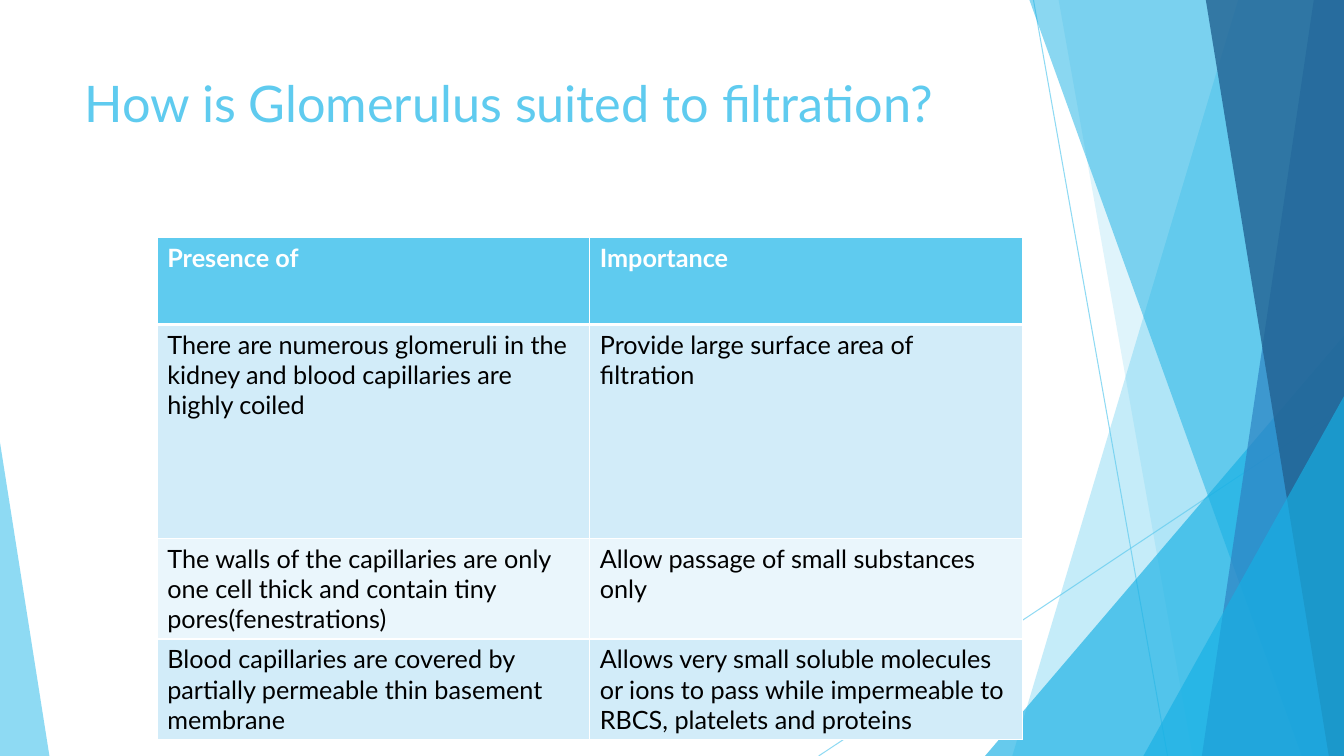
from dataclasses import dataclass

from lxml.etree import SubElement
from pptx import Presentation
from pptx.dml.color import RGBColor
from pptx.enum.shapes import MSO_CONNECTOR, MSO_SHAPE
from pptx.enum.text import MSO_ANCHOR, MSO_AUTO_SIZE, PP_ALIGN
from pptx.oxml.ns import qn
from pptx.util import Inches, Pt

WIDTH, HEIGHT = 13.33, 7.5
FONT = "Lato"
COLORS = {
    "sky": "5FCBEF",
    "cyan": "17B0E4",
    "blue": "2E83C3",
    "navy": "226292",
    "band_dark": "D2ECF9",
    "band_light": "EAF6FC",
    "white": "FFFFFF",
    "black": "000000",
}


@dataclass
class Ray:
    start: tuple[float, float]
    end: tuple[float, float]


@dataclass
class Panel:
    """Runs from a slanted left side to the right edge of the slide."""
    top_x: float
    bottom_x: float
    color: str
    opacity: int


@dataclass
class Corner:
    """Triangle standing on the bottom edge, its apex at the left (0) or right (1)."""
    left: float
    top: float
    width: float
    apex: int
    color: str
    opacity: int


DECORATIONS = [
    Ray((10.25, 0), (11.58, HEIGHT)),
    Ray((WIDTH, 4.03), (8.12, HEIGHT)),
    Panel(12.28, 10.04, "sky", 36),
    Panel(10.5, 11.83, "sky", 20),
    Corner(9.77, 3.33, 3.56, 1, "cyan", 66),
    Panel(10.21, 12.91, "cyan", 50),
    Panel(13.03, 11.92, "blue", 70),
    Panel(11.96, 13.18, "navy", 80),
    Corner(11.34, 3.93, 1.99, 1, "cyan", 66),
    Corner(0, 4.39, 0.49, 0, "sky", 70),
]

ROWS = [
    ("Presence of", "Importance"),
    ("There are numerous glomeruli in the kidney and blood capillaries are highly coiled",
     "Provide large surface area of filtration"),
    ("The walls of the capillaries are only one cell thick and contain tiny pores(fenestrations)",
     "Allow passage of small substances only"),
    ("Blood capillaries are covered by partially permeable thin basement membrane",
     "Allows very small soluble molecules or ions to pass while impermeable to "
     "RBCS, platelets and proteins"),
]
ROW_HEIGHTS = [0.86, 2.12, 1, 1]
COL_WIDTH = 4.29


def rgb(name: str) -> RGBColor:
    return RGBColor.from_string(COLORS[name])


def set_opacity(sp, percent: int) -> None:
    color = next(sp.element.spPr.iter(qn("a:srgbClr")))
    SubElement(color, qn("a:alpha")).set("val", str(percent * 1000))


def fill_shape(sp, color: str, opacity: int) -> None:
    sp.shadow.inherit = False
    sp.fill.solid()
    sp.fill.fore_color.rgb = rgb(color)
    sp.line.fill.background()
    set_opacity(sp, opacity)


def draw_ray(shapes, ray: Ray) -> None:
    points = [Inches(v) for v in (*ray.start, *ray.end)]
    line = shapes.add_connector(MSO_CONNECTOR.STRAIGHT, *points)
    line.line.color.rgb = rgb("sky")
    line.line.width = Pt(0.75)
    set_opacity(line, 70)
    SubElement(line.element.spPr, qn("a:effectLst"))


def draw_panel(shapes, panel: Panel) -> None:
    corners = [(panel.top_x, 0), (WIDTH, 0), (WIDTH, HEIGHT), (panel.bottom_x, HEIGHT)]
    points = [(Inches(x), Inches(y)) for x, y in corners]
    outline = shapes.build_freeform(*points[0])
    outline.add_line_segments(points[1:], close=True)
    fill_shape(outline.convert_to_shape(), panel.color, panel.opacity)


def draw_corner(shapes, corner: Corner) -> None:
    sp = shapes.add_shape(
        MSO_SHAPE.ISOSCELES_TRIANGLE, Inches(corner.left), Inches(corner.top),
        Inches(corner.width), Inches(HEIGHT - corner.top))
    sp.adjustments[0] = corner.apex
    fill_shape(sp, corner.color, corner.opacity)


def format_title(title) -> None:
    title.left, title.top = Inches(0.74), Inches(0.67)
    title.width, title.height = Inches(9.4), Inches(1.44)
    tf = title.text_frame
    tf.text = "How is Glomerulus suited to filtration?"
    tf.word_wrap = True
    tf.auto_size = MSO_AUTO_SIZE.NONE
    tf.vertical_anchor = MSO_ANCHOR.TOP
    p = tf.paragraphs[0]
    p.alignment = PP_ALIGN.LEFT
    p.font.name, p.font.size = FONT, Pt(36)
    p.font.color.rgb = rgb("sky")
    # Bring the title in front of the decorations
    title.element.getparent().append(title.element)


def set_borders(cell, widths: dict[str, float]) -> None:
    tc_pr = cell._tc.get_or_add_tcPr()
    for side, width in widths.items():
        ln = SubElement(tc_pr, qn(f"a:ln{side}"), w=str(Pt(width)))
        fill = SubElement(ln, qn("a:solidFill"))
        SubElement(fill, qn("a:srgbClr"), val=COLORS["white"])


def format_cell(cell, text: str, row: int) -> None:
    header = row == 0
    set_borders(cell, {"L": 1, "R": 1, "T": 3 if row == 1 else 1, "B": 3 if header else 1})
    cell.fill.solid()
    band = "band_dark" if row % 2 else "band_light"
    cell.fill.fore_color.rgb = rgb("sky" if header else band)
    cell.text = text
    font = cell.text_frame.paragraphs[0].font
    font.name, font.size, font.bold = FONT, Pt(18), header
    font.color.rgb = rgb("white" if header else "black")


def draw_table(shapes) -> None:
    table = shapes.add_table(
        len(ROWS), 2, Inches(1.56), Inches(2.36),
        Inches(2 * COL_WIDTH), Inches(sum(ROW_HEIGHTS))).table
    for column in table.columns:
        column.width = Inches(COL_WIDTH)
    for r, (texts, height) in enumerate(zip(ROWS, ROW_HEIGHTS)):
        table.rows[r].height = Inches(height)
        for c, text in enumerate(texts):
            format_cell(table.cell(r, c), text, r)


def main() -> None:
    prs = Presentation()
    prs.slide_width, prs.slide_height = Inches(WIDTH), Inches(HEIGHT)
    s = prs.slides.add_slide(prs.slide_layouts.get_by_name("Title Only"))
    draw = {Ray: draw_ray, Panel: draw_panel, Corner: draw_corner}
    for item in DECORATIONS:
        draw[type(item)](s.shapes, item)
    format_title(s.shapes.title)
    draw_table(s.shapes)
    prs.save("out.pptx")


if __name__ == "__main__":
    main()
